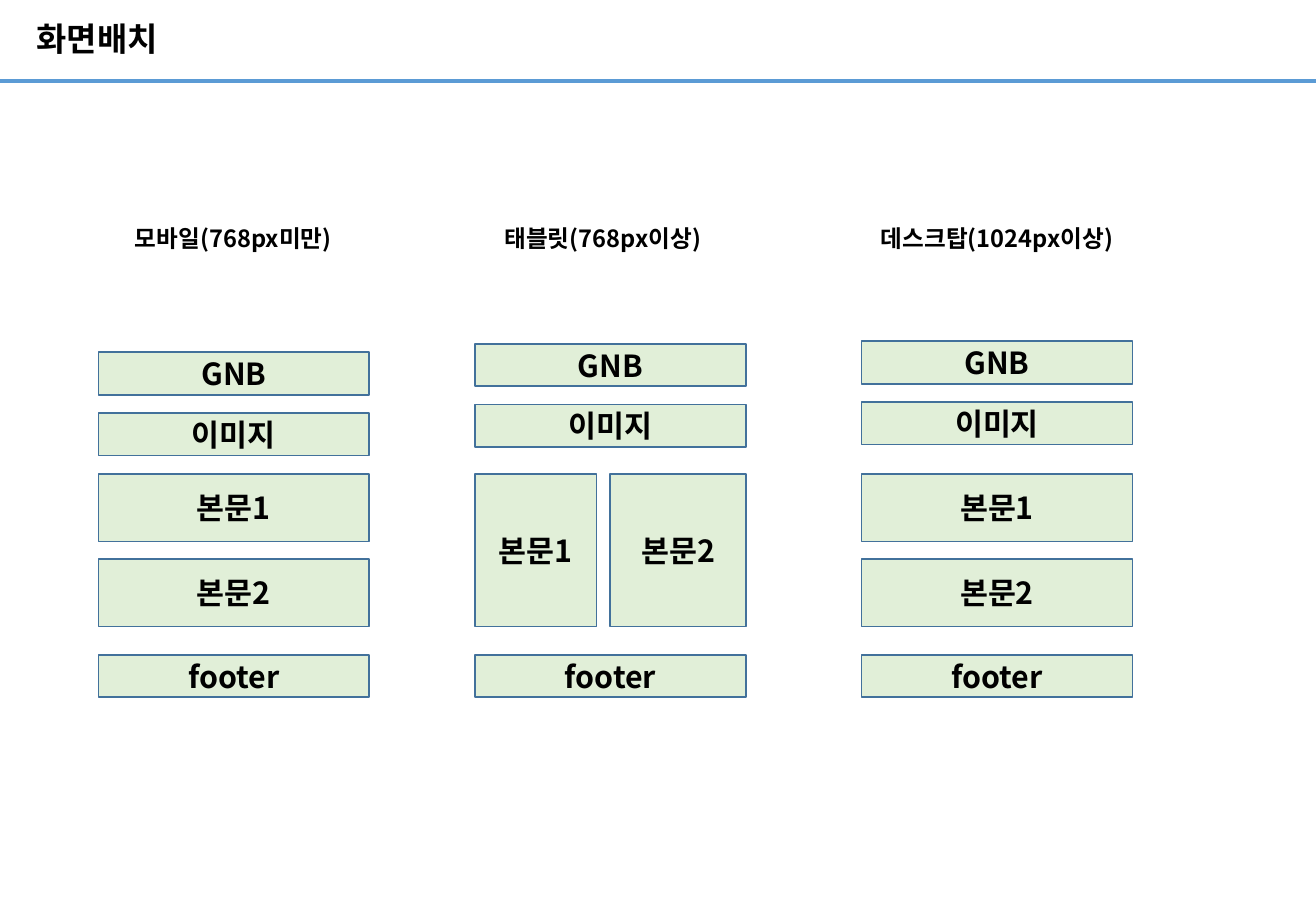
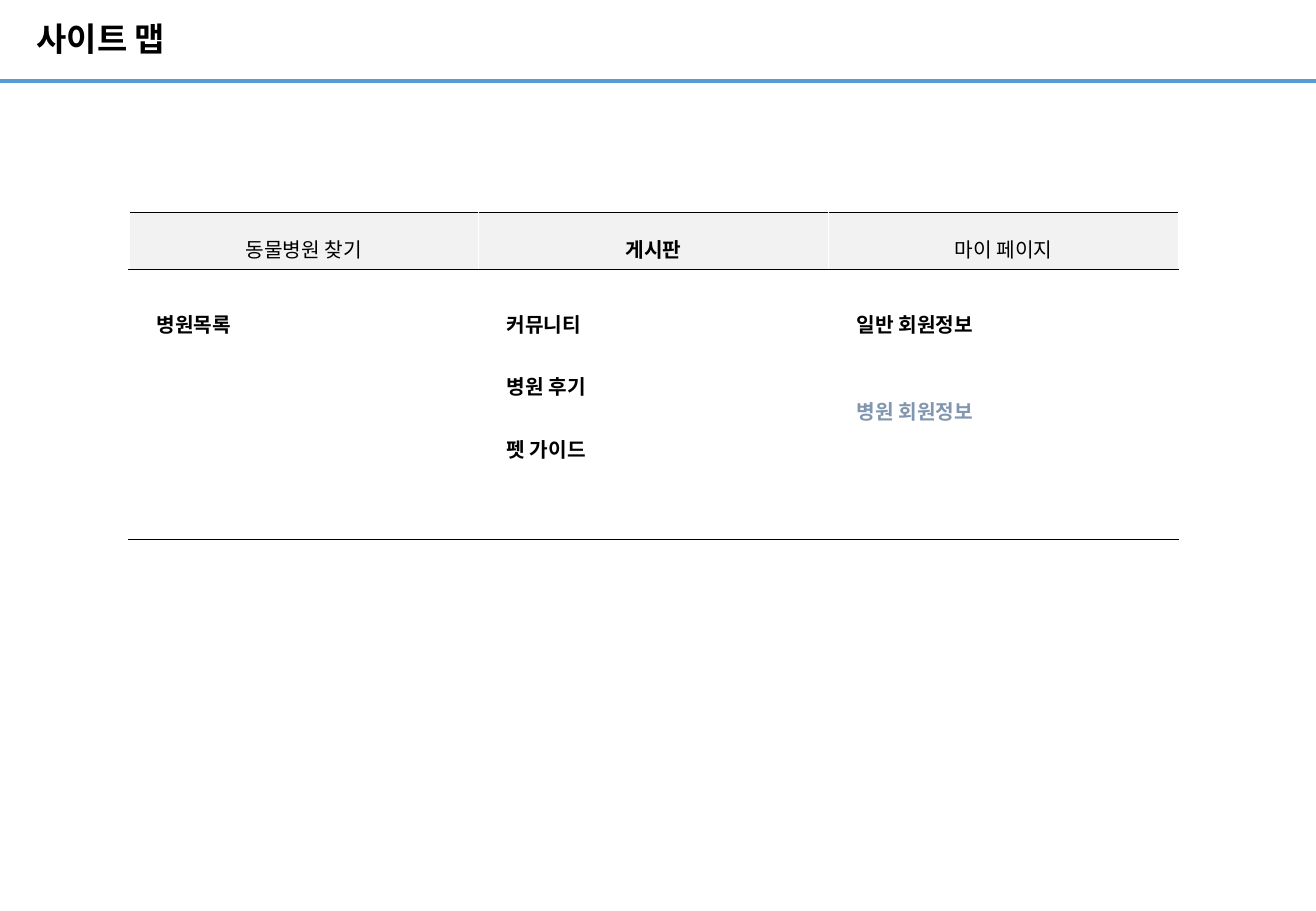
from lxml.etree import SubElement
from pptx import Presentation
from pptx.dml.color import RGBColor
from pptx.enum.shapes import MSO_CONNECTOR as CONNECTOR, MSO_SHAPE as SHAPE
from pptx.enum.text import MSO_ANCHOR as ANCHOR, PP_ALIGN as ALIGN
from pptx.oxml.ns import qn
from pptx.util import Inches, Pt

KOREAN = "Noto Sans CJK KR"
BLACK, WHITE = "000000", "FFFFFF"
WIDTH = 10.83


def rgb(value):
    return RGBColor.from_string(value)


def write(para, text, size, font=KOREAN, bold=True, color=BLACK, **layout):
    """Add one formatted run; layout holds paragraph attributes."""
    for name, value in layout.items():
        setattr(para, name, value)
    span = para.add_run()
    span.text = text
    for name, value in {"size": Pt(size), "bold": bold, "name": font}.items():
        setattr(span.font, name, value)
    span.font.color.rgb = rgb(color)
    SubElement(span._r.get_or_add_rPr(), qn("a:ea"), typeface=KOREAN)


deck = Presentation()
deck.slide_width, deck.slide_height = Inches(WIDTH), Inches(7.5)
title_only = deck.slide_layouts[5]

# Titles
pages = []
for heading in ("화면배치", "사이트 맵"):
    page = deck.slides.add_slide(title_only)
    title = page.shapes.title
    title.left, title.top = Inches(0.3), Inches(0)
    title.width, title.height = Inches(7.09), Inches(0.68)
    frame = title.text_frame
    for side in ("left", "top", "right", "bottom"):
        setattr(frame, f"margin_{side}", 0)
    frame.vertical_anchor = ANCHOR.MIDDLE
    write(frame.paragraphs[0], heading, 19.5, font="Arial",
          alignment=ALIGN.LEFT, line_spacing=0.9)
    pages.append(page)
layout_page, sitemap_page = pages

# Rule under the title, moved to the layout so that every slide shows it
rule = layout_page.shapes.add_connector(
    CONNECTOR.STRAIGHT, Inches(0), Inches(0.67), Inches(WIDTH), Inches(0.67))
rule.line.color.rgb = rgb("5B9BD5")
rule.line.width = Pt(2.25)
SubElement(rule.element.spPr, qn("a:effectLst"))
title_only.element.cSld.spTree.append(rule.element)

# Screen layouts: caption with its left and width, then left, GNB top, body boxes
BLOCK_WIDTH, BAR_HEIGHT, BAR_STEP = 2.23, 0.35, 0.5
FOOTER_TOP = 5.39
stacked = [("본문1", 0, 3.9, BLOCK_WIDTH, 0.56), ("본문2", 0, 4.6, BLOCK_WIDTH, 0.56)]
side_by_side = [("본문1", 0, 3.9, 1, 1.26), ("본문2", 1.11, 3.9, 1.12, 1.26)]
screens = [
    ("모바일(768px미만)", 0.88, 2.08, 0.81, 2.9, stacked),
    ("태블릿(768px이상)", 4.02, 1.88, 3.91, 2.83, side_by_side),
    ("데스크탑(1024px이상)", 6.96, 2.49, 7.09, 2.81, stacked),
]
for caption, caption_left, caption_width, left, top, body in screens:
    box = layout_page.shapes.add_textbox(
        Inches(caption_left), Inches(1.76), Inches(caption_width), Inches(0.4))
    box.text_frame.word_wrap = True
    box.text_frame.vertical_anchor = ANCHOR.MIDDLE
    write(box.text_frame.paragraphs[0], caption, 14, alignment=ALIGN.CENTER)

    bars = [("GNB", top), ("이미지", top + BAR_STEP), ("footer", FOOTER_TOP)]
    blocks = [(label, 0, y, BLOCK_WIDTH, BAR_HEIGHT) for label, y in bars] + body
    for label, offset, y, width, height in blocks:
        block = layout_page.shapes.add_shape(
            SHAPE.RECTANGLE, Inches(left + offset), Inches(y), Inches(width), Inches(height))
        block.shadow.inherit = False
        block.fill.solid()
        block.fill.fore_color.rgb = rgb("E1EFD8")
        block.line.color.rgb = rgb("42719B")
        block.line.width = Pt(1)
        block.text_frame.vertical_anchor = ANCHOR.MIDDLE
        write(block.text_frame.paragraphs[0], label, 18, alignment=ALIGN.CENTER)

# Site map: heading, whether it is bold, gap between items, items with colours
COLUMN_WIDTH, ROW_HEIGHTS = 2.88, (0.47, 2.22)
menus = [
    ("동물병원 찾기", False, 0, [("병원목록", BLACK)]),
    ("게시판", True, 11, [("커뮤니티", BLACK), ("병원 후기", BLACK), ("펫 가이드", BLACK)]),
    ("마이 페이지", False, 26, [("일반 회원정보", BLACK), ("병원 회원정보", "8296B0")]),
]
table = sitemap_page.shapes.add_table(
    len(ROW_HEIGHTS), len(menus), Inches(1.06), Inches(1.75),
    Inches(COLUMN_WIDTH * len(menus)), Inches(sum(ROW_HEIGHTS))).table
for row, height in zip(table.rows, ROW_HEIGHTS):
    row.height = Inches(height)

borders = {"lnL": (WHITE, 1), "lnR": (WHITE, 1), "lnT": (BLACK, 0.75), "lnB": (BLACK, 0.75)}
for column, (heading, bold, gap, items) in enumerate(menus):
    table.columns[column].width = Inches(COLUMN_WIDTH)
    head, body = table.cell(0, column), table.cell(1, column)
    for cell, fill in ((head, "F2F2F2"), (body, WHITE)):
        cell.margin_left = cell.margin_right = Inches(0.11)
        properties = cell._tc.get_or_add_tcPr()
        for tag, (color, width) in borders.items():
            edge = SubElement(properties, qn(f"a:{tag}"), w=str(Pt(width)))
            SubElement(SubElement(edge, qn("a:solidFill")), qn("a:srgbClr"), val=color)
        cell.fill.solid()
        cell.fill.fore_color.rgb = rgb(fill)

    head.vertical_anchor = ANCHOR.MIDDLE
    write(head.text_frame.paragraphs[0], heading, 12, bold=bold,
          alignment=ALIGN.CENTER, line_spacing=1.5)
    body.margin_left, body.margin_top = Inches(0.23), Inches(0.2)
    for index, (item, color) in enumerate(items):
        frame = body.text_frame
        para = frame.add_paragraph() if index else frame.paragraphs[0]
        write(para, item, 12, color=color, line_spacing=1.5,
              space_before=Pt(gap if index else 0))

deck.save("out.pptx")
